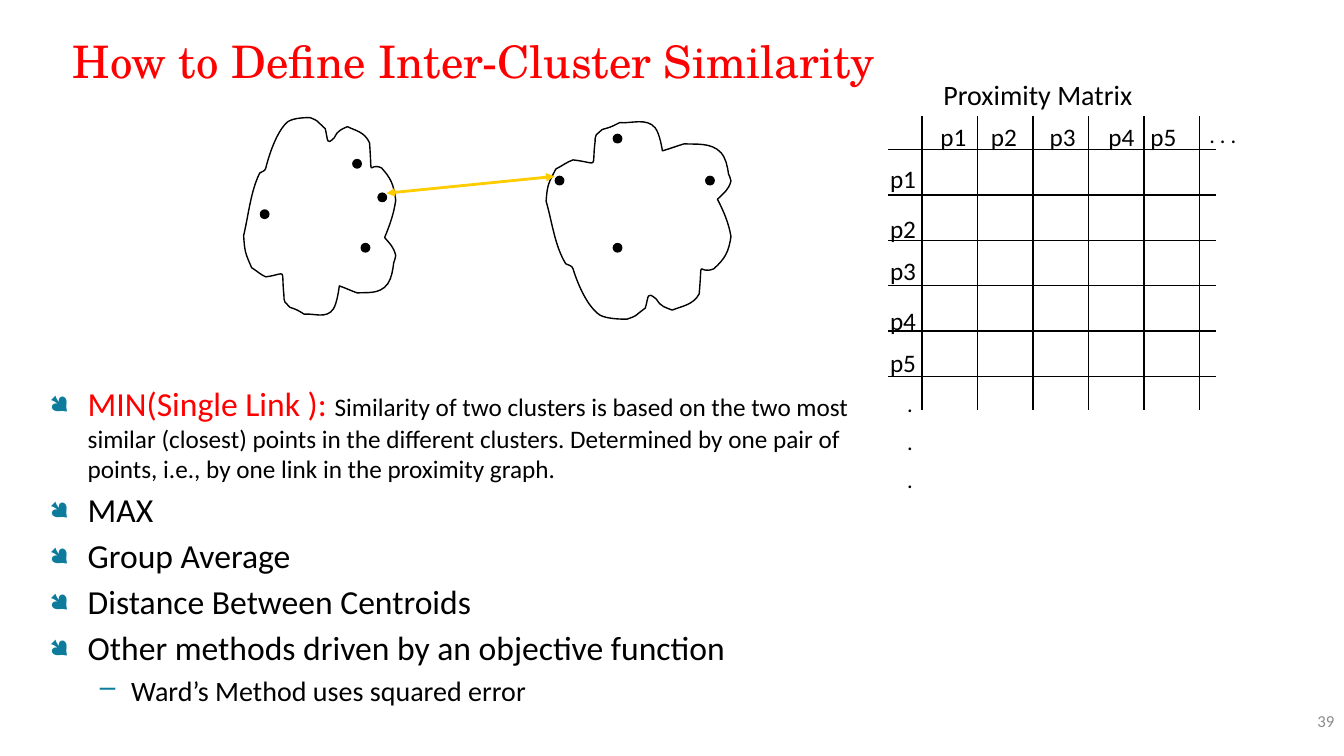
from lxml import etree
from pptx import Presentation, util as u
from pptx.dml.color import RGBColor
from pptx.enum import shapes as sh, text as tx
from pptx.oxml.ns import qn

deck = Presentation()
deck.slide_width, deck.slide_height = u.Inches(13.33), u.Inches(7.5)
page = deck.slides.add_slide(deck.slide_layouts[6])
CELL = deck.slide_height / 90  # the slide is a grid of 160 columns and 90 rows
BLACK, RED, TEAL, GOLD = "000000", "FF0000", "0C7B9C", "FFCC00"


def hue(code):
    return RGBColor.from_string(code)


def write(box, paras, size, color=BLACK, font="Calibri", **form):
    """Add a text box; a paragraph is a string or a list of (words, size, color)."""
    frame = page.shapes.add_textbox(*[round(n * CELL) for n in box]).text_frame
    frame.word_wrap = True
    frame.vertical_anchor = form.pop("anchor", tx.MSO_ANCHOR.TOP)
    for i, runs in enumerate(paras):
        para = frame.paragraphs[0] if i == 0 else frame.add_paragraph()
        for key, val in form.items():
            setattr(para, key, val)
        for words, *own in [(runs,)] if isinstance(runs, str) else runs:
            run = para.add_run()
            run.text = words
            pt, code = own or (size, color)
            for key, val in {"size": u.Pt(pt), "name": font}.items():
                setattr(run.font, key, val)
            run.font.color.rgb = hue(code)
    return frame


# Title and page number
write((7.5, 4.6, 147.1, 6.1), ["How to Define Inter-Cluster Similarity"], 32, RED,
      "TeX Gyre Schola", anchor=tx.MSO_ANCHOR.MIDDLE, line_spacing=0.9)
write((124, 83.4, 36, 4.8), ["39"], 12, "8C8C8C",
      anchor=tx.MSO_ANCHOR.MIDDLE, alignment=tx.PP_ALIGN.RIGHT)

# Cluster outline: Bezier curves (two handles, end) in a 151 by 200 frame
start = (16, 55)
curves = [
    (7, 73, 5, 96, 0, 117), (1, 134, 2, 135, 8, 149), (13, 152, 17, 156, 22, 158),
    (44, 155, 37, 148, 40, 176), (40, 179, 40, 181, 41, 183),
    (48, 190, 43, 187, 51, 190), (54, 191, 60, 195, 60, 195),
    (70, 194, 82, 200, 89, 190), (93, 184, 95, 167, 95, 167),
    (101, 169, 107, 172, 113, 174), (121, 173, 135, 176, 143, 165),
    (147, 159, 148, 152, 149, 144), (150, 142, 151, 137, 151, 137),
    (149, 128, 145, 125, 140, 119), (145, 107, 149, 96, 151, 82),
    (149, 66, 146, 60, 137, 50), (123, 43, 128, 65, 125, 25),
    (120, 14, 111, 13, 103, 9), (97, 12, 94, 12, 90, 20), (82, 28, 84, 23, 81, 11),
    (70, 1, 75, 4, 66, 0), (63, 0, 50, 0, 44, 4), (34, 12, 26, 34, 22, 50),
    (21, 54, 18, 53, 16, 55)]

# The second cluster is the first one, widened and turned upside down
for left, wide, flip in ((29, 18.1, False), (65, 22, True)):
    spots = [(round((left + x * wide / 151) * CELL),
              round((14 + (200 - y if flip else y) * 0.12) * CELL))
             for x, y in [start] + [c[k:k + 2] for c in curves for k in (0, 2, 4)]]
    pen = page.shapes.build_freeform(*spots[0], scale=1.0)
    pen.add_line_segments(spots[3::3], close=True)
    blob = pen.convert_to_shape()
    # Bend each straight segment by adding its two handles
    for i, seg in enumerate(list(blob._element.iter(qn("a:lnTo")))):
        seg.tag = qn("a:cubicBezTo")
        for k in (0, 1):
            x, y = spots[3 * i + 1 + k]
            seg.insert(k, etree.Element(qn("a:pt"), x=str(x - blob.left),
                                        y=str(y - blob.top)))
    blob.shadow.inherit = False
    blob.fill.background()
    blob.line.color.rgb = hue(BLACK)
    blob.line.width = u.Pt(1)

# Points of both clusters, each one cell wide
for spot in ((43, 29), (42, 19), (31, 25), (45, 23),
             (84, 21), (66.1, 21), (73, 29), (73, 16)):
    dot = page.shapes.add_shape(sh.MSO_SHAPE.OVAL,
                                *[round(n * CELL) for n in (*spot, 1, 1)])
    dot.shadow.inherit = False
    dot.fill.solid()
    dot.fill.fore_color.rgb = dot.line.color.rgb = hue(BLACK)
    dot.line.width = u.Pt(1)

# Lines: six columns and six rows of the matrix, then the link
lines = []
for i in range(6):
    x, y = 109.75 + 6.6 * i, 17.8 + 5.4 * i
    lines += [(x, 13.8, x, 48.8, BLACK, 1), (105.7, y, 144.7, y, BLACK, 1)]
lines.append((46, 23, 66, 21, GOLD, 2))
for *ends, code, wide in lines:
    line = page.shapes.add_connector(sh.MSO_CONNECTOR.STRAIGHT,
                                     *[round(n * CELL) for n in ends])
    line.line.color.rgb = hue(code)
    line.line.width = u.Pt(wide)
    if code == GOLD:
        for tag in ("a:headEnd", "a:tailEnd"):
            etree.SubElement(line.line._get_or_add_ln(), qn(tag), type="triangle")
    etree.SubElement(line._element.spPr, qn("a:effectLst"))

# Matrix labels
write((111.1, 8.6, 33, 5.2), ["Proximity Matrix"], 20)
lefts = [110.75, 116.75, 123.75, 130.75, 135.75]
tops = [18.8, 24.8, 29.8, 35.8, 40.8]
for i, (left, top) in enumerate(zip(lefts, tops), 1):
    for x, y in ((left, 13.8), (104.75, top)):
        write((x, y, 7, 4.8), [f"p{i}"], 18)
write((142.75, 13.8, 7, 4.4), [". . ."], 16)
dots = write((106.8, 45.8, 7, 14), [".", ".", "."], 16)
for para in dots.paragraphs[1:]:
    para.space_before = u.Pt(8)

# Bulleted list; the last item is one level down
items = [
    [("MIN(Single Link ): ", 24, RED),
     ("Similarity of two clusters is based on the two most similar (closest) points "
      "in the different clusters. Determined by one pair of points, i.e., by one link "
      "in the proximity graph.", 18, BLACK)],
    "MAX", "Group Average", "Distance Between Centroids",
    "Other methods driven by an objective function",
    [("Ward’s Method uses squared error", 20, BLACK)]]
body = write((4.7, 45, 100.7, 41), items, 24, space_before=u.Pt(2), space_after=u.Pt(2))
for i, para in enumerate(body.paragraphs, 1):
    sub = i == len(items)
    para.level = int(sub)
    mark, left, hang = ("–", 0.81, 0.31) if sub else ("●", 0.38, 0.38)
    props = para._p.get_or_add_pPr()
    props.set("marL", str(u.Inches(left)))
    props.set("indent", str(-u.Inches(hang)))
    tint = etree.SubElement(props, qn("a:buClr"))
    etree.SubElement(tint, qn("a:srgbClr"), val=TEAL)
    if not sub:
        etree.SubElement(props, qn("a:buSzPct"), val="75000")
        etree.SubElement(props, qn("a:buFont"), typeface="Wingdings")
    etree.SubElement(props, qn("a:buChar"), char=mark)

deck.save("out.pptx")
